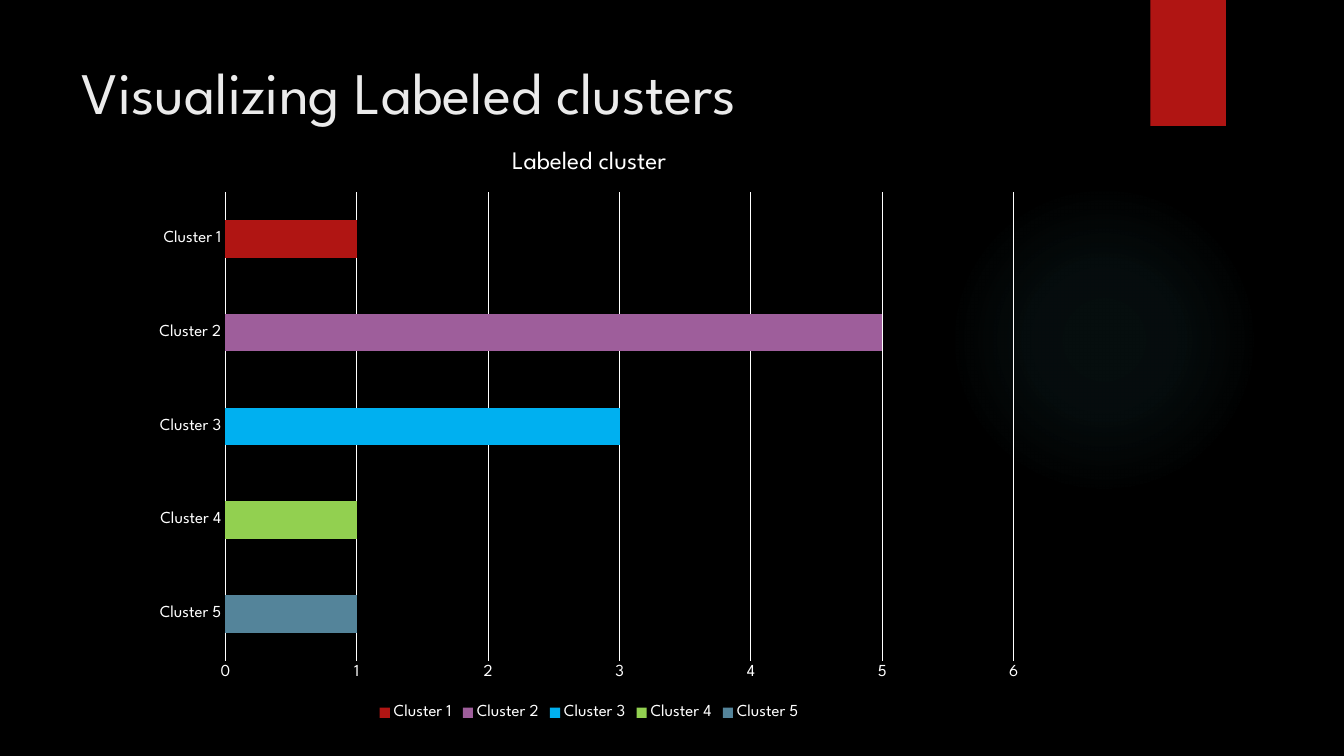
from lxml import etree
from pptx import Presentation
from pptx import util as u
from pptx.chart.data import CategoryChartData
from pptx.dml.color import RGBColor
from pptx.enum import chart as ch, shapes, text
from pptx.oxml import parse_xml
from pptx.oxml.ns import nsdecls, qn

WIDTH, HEIGHT = 13.33, 7.5
FONT = "League Spartan"
COLORS = {"background": "000000", "title": "EBEBEB", "label": "FFFFFF",
          "ribbon": "B01513", "glow": "50B9C1"}
# name: (value, bar colour), from the top bar down
CLUSTERS = {"Cluster 1": (1, "B01513"), "Cluster 2": (5, "9E5E9B"),
            "Cluster 3": (3, "00B0F0"), "Cluster 4": (1, "92D050"),
            "Cluster 5": (1, "54849A")}
GLOW_STOPS = [(0, 7), (36, 6), (69, 0)]  # position and opacity, percent
PLOT_SHARES = {"x": 0.094, "y": 0.109, "w": 0.88, "h": 0.784}


def rgb(value):
    return RGBColor.from_string(value)


def apply(target, formats):
    for name, value in formats.items():
        setattr(target, name, value)


def style_font(font, size, color):
    apply(font, {"size": u.Pt(size), "name": FONT, "bold": False})
    font.color.rgb = rgb(color)


def style_line(line, color):
    line.color.rgb = rgb(color)
    line.width = u.Pt(0.75)


def add_plain_shape(slide, kind, box, color):
    shape = slide.shapes.add_shape(kind, *map(u.Inches, box))
    shape.shadow.inherit = False
    shape.fill.solid()
    shape.fill.fore_color.rgb = rgb(color)
    shape.line.fill.background()
    return shape


def add_glow(slide, box):
    glow = add_plain_shape(slide, shapes.MSO_SHAPE.OVAL, box, COLORS["glow"])
    stops = "".join(
        f'<a:gs pos="{pos * 1000}"><a:srgbClr val="{COLORS["glow"]}">'
        f'<a:alpha val="{alpha * 1000}"/></a:srgbClr></a:gs>'
        for pos, alpha in GLOW_STOPS)
    gradient = parse_xml(
        f'<a:gradFill {nsdecls("a")} rotWithShape="1"><a:gsLst>{stops}</a:gsLst>'
        '<a:path path="circle"><a:fillToRect l="50000" t="50000" r="50000" b="50000"/>'
        '</a:path></a:gradFill>')
    properties = glow.fill._xPr
    properties.replace(properties.find(qn("a:solidFill")), gradient)


def set_title(slide, wording, box):
    title = slide.shapes.title
    apply(title, dict(zip(("left", "top", "width", "height"), map(u.Inches, box))))
    apply(title.text_frame, {"text": wording, "word_wrap": True,
                             "vertical_anchor": text.MSO_ANCHOR.TOP})
    paragraph = title.text_frame.paragraphs[0]
    paragraph.alignment = text.PP_ALIGN.LEFT
    style_font(paragraph.runs[0].font, 42, COLORS["title"])


def place_plot(chart):
    plot_area = chart._chartSpace.chart.plotArea
    for old in plot_area.findall(qn("c:layout")):
        plot_area.remove(old)
    layout = etree.Element(qn("c:layout"))
    manual = etree.SubElement(layout, qn("c:manualLayout"))
    settings = {"layoutTarget": "inner", "xMode": "edge", "yMode": "edge", **PLOT_SHARES}
    for tag, value in settings.items():
        etree.SubElement(manual, qn(f"c:{tag}")).set("val", str(value))
    plot_area.insert(0, layout)


def add_cluster_chart(slide, heading, box):
    # Each cluster is a series with one value, so it has its own colour
    data = CategoryChartData(number_format="General")
    data.categories = list(reversed(CLUSTERS))
    for name, (value, _) in CLUSTERS.items():
        data.add_series(name, [value if row == name else None
                               for row in reversed(CLUSTERS)])
    chart = slide.shapes.add_chart(ch.XL_CHART_TYPE.BAR_STACKED,
                                   *map(u.Inches, box), data).chart
    style_font(chart.font, 10, COLORS["label"])

    # Bars
    bars = chart.plots[0]
    apply(bars, {"gap_width": 150, "overlap": 100, "vary_by_categories": False})
    for series, (_, color) in zip(bars.series, CLUSTERS.values()):
        series.format.fill.solid()
        series.format.fill.fore_color.rgb = rgb(color)

    # Heading and legend
    chart.has_title = True
    chart.chart_title.include_in_layout = False
    chart.chart_title.text_frame.text = heading
    style_font(chart.chart_title.text_frame.paragraphs[0].runs[0].font,
               18, COLORS["label"])
    chart.has_legend = True
    apply(chart.legend, {"position": ch.XL_LEGEND_POSITION.BOTTOM,
                         "include_in_layout": False})
    style_font(chart.legend.font, 12, COLORS["label"])

    # Axes
    cluster_axis, count_axis = chart.category_axis, chart.value_axis
    for axis in (cluster_axis, count_axis):
        apply(axis, {"major_tick_mark": ch.XL_TICK_MARK.NONE,
                     "minor_tick_mark": ch.XL_TICK_MARK.NONE})
        style_font(axis.tick_labels.font, 12, COLORS["label"])
    style_line(cluster_axis.format.line, COLORS["label"])
    apply(count_axis, {"minimum_scale": 0, "maximum_scale": 6, "major_unit": 1,
                       "has_major_gridlines": True})
    style_line(count_axis.major_gridlines.format.line, COLORS["label"])
    count_axis.format.line.fill.background()
    place_plot(chart)


def main():
    deck = Presentation()
    apply(deck, {"slide_width": u.Inches(WIDTH), "slide_height": u.Inches(HEIGHT)})
    slide = deck.slides.add_slide(deck.slide_layouts[5])
    slide.background.fill.solid()
    slide.background.fill.fore_color.rgb = rgb(COLORS["background"])

    # Backdrop
    add_glow(slide, (9.41, 1.83, 3.08, 3.08))
    add_plain_shape(slide, shapes.MSO_SHAPE.RECTANGLE,
                    (11.41, 0, 0.75, HEIGHT / 6), COLORS["ribbon"])

    # Content
    set_title(slide, "Visualizing Labeled clusters", (0.71, 0.5, 10.29, 1.53))
    add_cluster_chart(slide, "Labeled cluster", (1.4, 1.26, WIDTH * 2 / 3, 5.93))
    deck.save("out.pptx")


if __name__ == "__main__":
    main()
